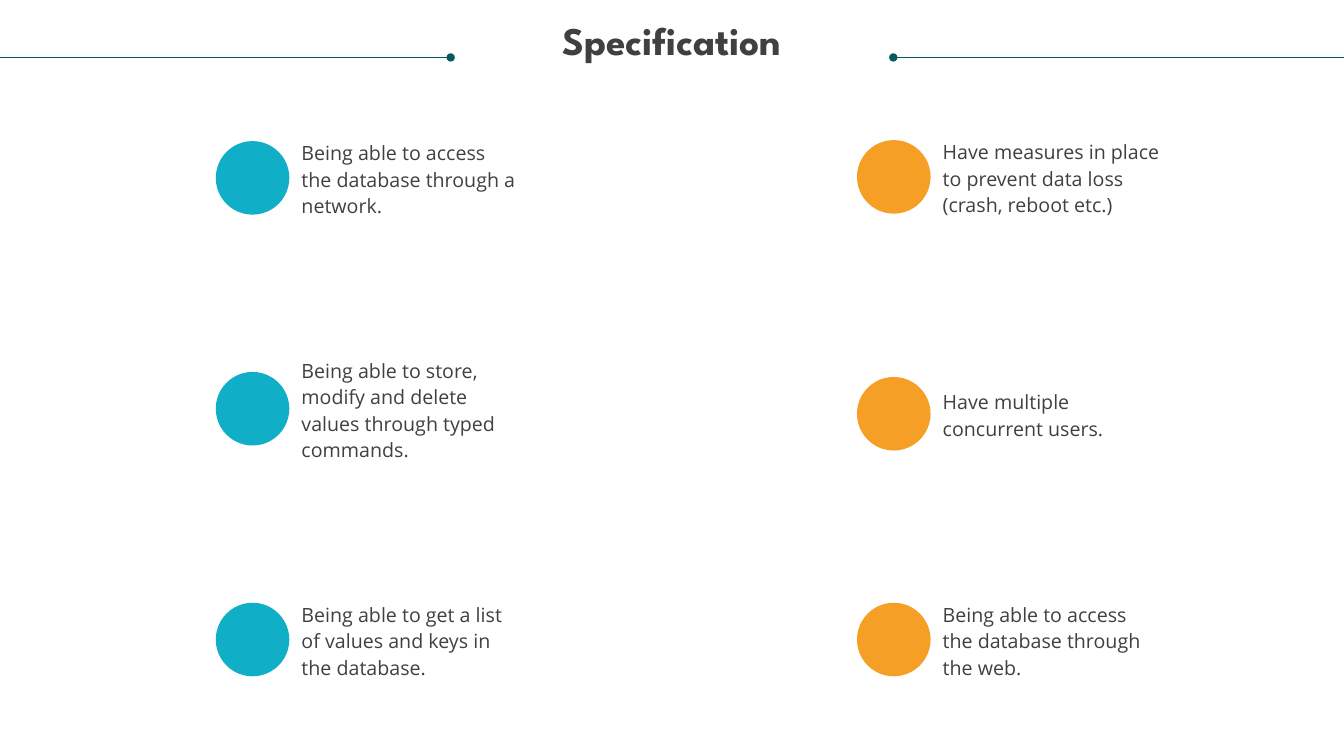
from pptx import Presentation
from pptx.dml.color import RGBColor
from pptx.enum.shapes import MSO_CONNECTOR as CONNECTOR, MSO_SHAPE as SHAPE
from pptx.enum.text import MSO_ANCHOR as ANCHOR, PP_ALIGN as ALIGN
from pptx.oxml.ns import qn
from pptx.util import Inches, Pt
from lxml import etree

TEAL = RGBColor(0x08, 0x57, 0x64)
CYAN = RGBColor(0x11, 0xAE, 0xC7)
ORANGE = RGBColor(0xF5, 0x9F, 0x26)
GREY = RGBColor(0x40, 0x40, 0x40)

# Content: column left, colour, then (circle top, line count, requirement)
TITLE = "Specification"
COLUMNS = [
    (2.14, CYAN, [
        (1.40, 3, "Being able to access the database through a network."),
        (3.69, 4, "Being able to store, modify and delete values through typed commands."),
        (5.98, 3, "Being able to get a list of values and keys in the database."),
    ]),
    (8.50, ORANGE, [
        (1.39, 3, "Have measures in place to prevent data loss (crash, reboot etc.)"),
        (3.74, 2, "Have multiple concurrent users."),
        (5.98, 3, "Being able to access the database through the web."),
    ]),
]
# Header rules run from the slide edge to a dot
RULES = [(0, 4.47), (13.33, 8.86)]
RULE_Y = 0.57

CIRCLE = 0.73
TEXT_OFFSET = 0.85
TEXT_WIDTH = 2.15
LINE_HEIGHT = 0.26


def write(frame, text, size=14, font="Open Sans", bold=False,
          align=ALIGN.LEFT, anchor=ANCHOR.MIDDLE, spacing=Pt(19)):
    frame.word_wrap = True
    frame.vertical_anchor = anchor
    frame.margin_left = frame.margin_right = 0
    frame.margin_top = frame.margin_bottom = 0
    paragraph = frame.paragraphs[0]
    paragraph.alignment = align
    paragraph.line_spacing = spacing
    run = paragraph.add_run()
    run.text = text
    run.font.size = Pt(size)
    run.font.name = font
    run.font.bold = bold
    run.font.color.rgb = GREY


deck = Presentation()
deck.slide_width, deck.slide_height = Inches(13.33), Inches(7.5)
slide = deck.slides.add_slide(deck.slide_layouts[5])

# Title
title = slide.shapes.title
title.left, title.top = Inches(0.25), Inches(0.21)
title.width, title.height = Inches(12.83), Inches(0.85)
write(title.text_frame, TITLE, size=28, font="League Spartan", bold=True,
      align=ALIGN.CENTER, anchor=ANCHOR.TOP, spacing=0.9)

# Header rules with dots
for edge, dot in RULES:
    rule = slide.shapes.add_connector(
        CONNECTOR.STRAIGHT, Inches(edge), Inches(RULE_Y), Inches(dot), Inches(RULE_Y))
    rule.line.color.rgb = TEAL
    rule.line.width = Pt(0.5)
    etree.SubElement(rule.line._get_or_add_ln(), qn("a:tailEnd"), type="oval")
    etree.SubElement(rule._element.spPr, qn("a:effectLst"))

# Requirements, each text centred on its circle
for left, colour, requirements in COLUMNS:
    for top, lines, requirement in requirements:
        circle = slide.shapes.add_shape(
            SHAPE.OVAL, Inches(left), Inches(top), Inches(CIRCLE), Inches(CIRCLE))
        circle.shadow.inherit = False
        circle.fill.solid()
        circle.fill.fore_color.rgb = colour
        circle.line.fill.background()

        height = lines * LINE_HEIGHT
        label = slide.shapes.add_textbox(
            Inches(left + TEXT_OFFSET), Inches(top + (CIRCLE - height) / 2),
            Inches(TEXT_WIDTH), Inches(height))
        write(label.text_frame, requirement)

deck.save("out.pptx")
